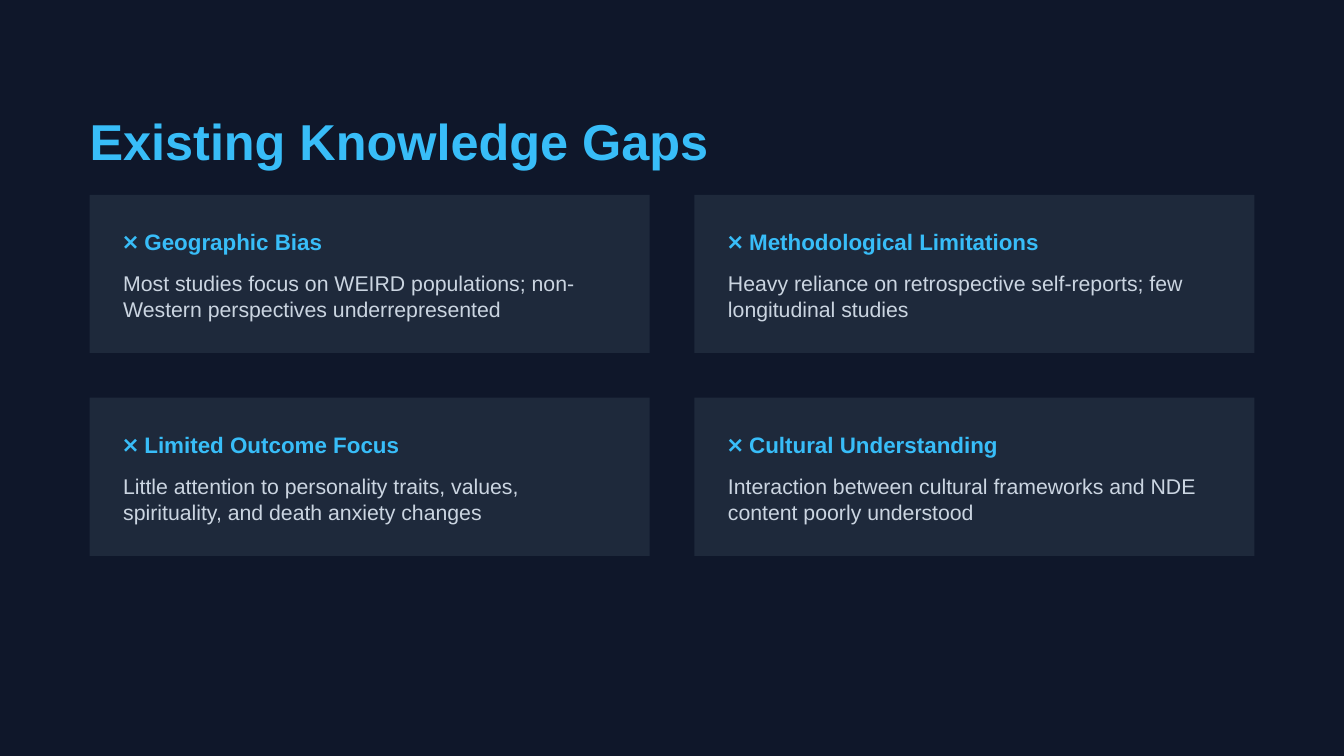
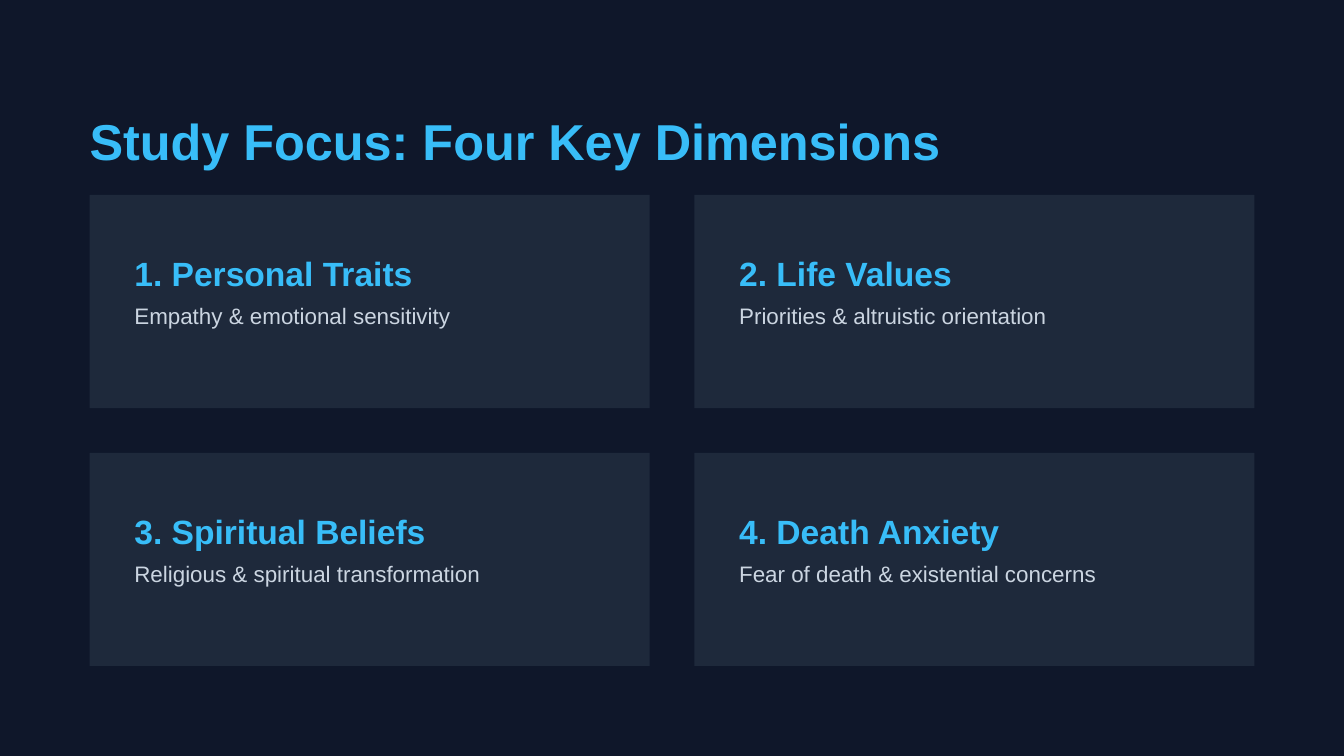
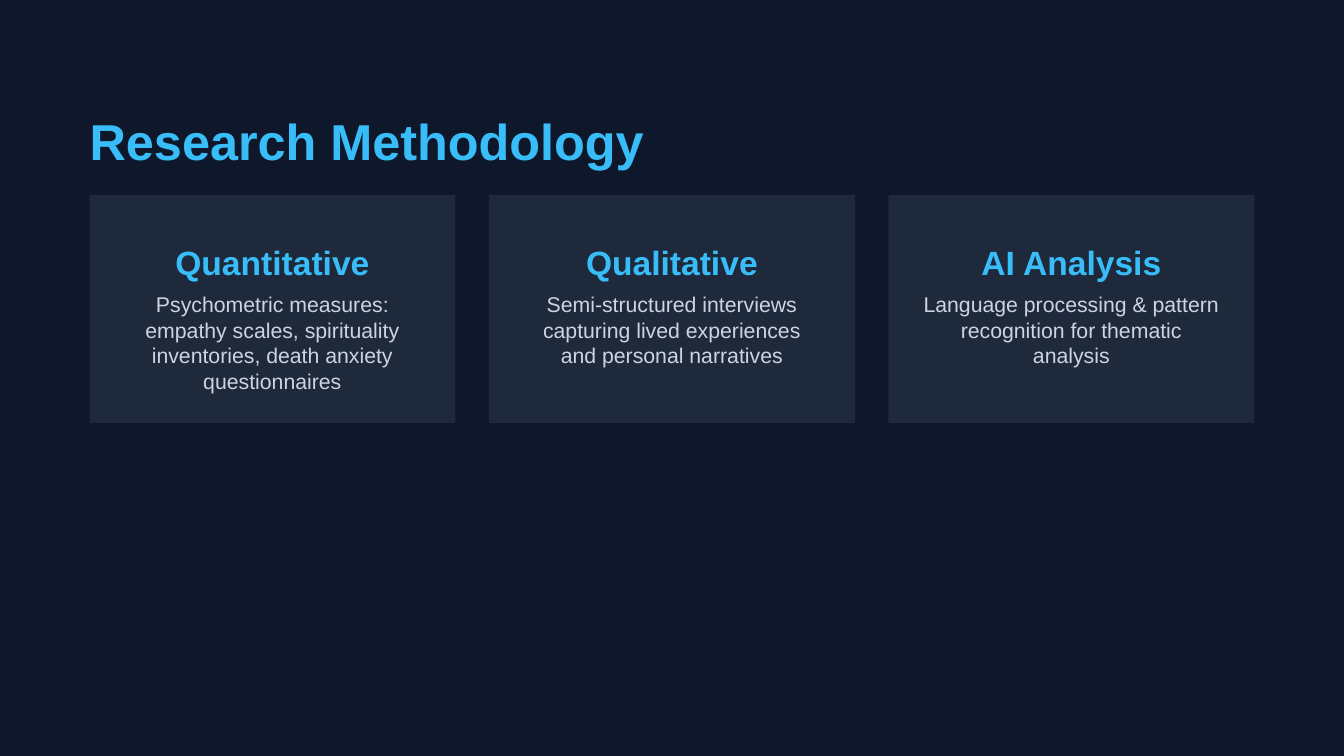
from dataclasses import dataclass

from pptx import Presentation
from pptx.dml.color import RGBColor
from pptx.enum.shapes import MSO_SHAPE
from pptx.enum.text import PP_ALIGN
from pptx.slide import Slide
from pptx.util import Pt

RECT = MSO_SHAPE.RECTANGLE
LEFT = PP_ALIGN.LEFT
MID = PP_ALIGN.CENTER


@dataclass(frozen=True)
class Style:
    size: float
    line: float
    color: RGBColor
    bold: bool = False


@dataclass(frozen=True)
class Theme:
    font: str = "Arial"
    back: RGBColor = RGBColor.from_string("0F172A")
    panel: RGBColor = RGBColor.from_string("1E293B")
    accent: RGBColor = RGBColor.from_string("38BDF8")
    soft: RGBColor = RGBColor.from_string("CBD5E1")

    @property
    def title(self) -> Style:
        return Style(27, 43.2, self.accent, True)

    @property
    def large(self) -> Style:
        return Style(18, 28.8, self.accent, True)

    @property
    def small(self) -> Style:
        return Style(12, 14.4, self.accent, True)

    @property
    def note(self) -> Style:
        return Style(12, 14.4, self.soft)

    @property
    def body(self) -> Style:
        return Style(11.4, 13.7, self.soft)


@dataclass(frozen=True)
class Box:
    left: float
    top: float
    width: float
    height: float


@dataclass(frozen=True)
class Card:
    head: str
    body: str
    lines: int


@dataclass(frozen=True)
class Grid:
    cols: int
    gap: float
    height: float
    head: Box
    body: Box
    top: Style
    text: Style
    align: PP_ALIGN = LEFT


@dataclass(frozen=True)
class Page:
    title: str
    grid: Grid
    cards: tuple[Card, ...]


THEME = Theme()
WIDTH, HEIGHT = 720, 405
EDGE = 48
START = 104.4
ROW = 13.2

GAPS = Grid(2, 24, 84.7, Box(18, 18, 264, 16.8), Box(18, 40.4, 264, ROW),
            THEME.small, THEME.body)
FOCUS = Grid(2, 24, 114.2, Box(24, 24, 257, 21.6), Box(24, 57.6, 257, ROW),
             THEME.large, THEME.note)
METHOD = Grid(3, 18, 122.2, Box(16, 18, 164, 21.6), Box(18, 51.8, 160, ROW),
              THEME.large, THEME.body, MID)

PAGES = (
    Page("Existing Knowledge Gaps", GAPS, (
        Card("❌ Geographic Bias",
             "Most studies focus on WEIRD populations; non-Western "
             "perspectives underrepresented", 2),
        Card("❌ Methodological Limitations",
             "Heavy reliance on retrospective self-reports; few "
             "longitudinal studies", 2),
        Card("❌ Limited Outcome Focus",
             "Little attention to personality traits, values, "
             "spirituality, and death anxiety changes", 2),
        Card("❌ Cultural Understanding",
             "Interaction between cultural frameworks and NDE content "
             "poorly understood", 2),
    )),
    Page("Study Focus: Four Key Dimensions", FOCUS, (
        Card("1. Personal Traits", "Empathy & emotional sensitivity", 1),
        Card("2. Life Values", "Priorities & altruistic orientation", 1),
        Card("3. Spiritual Beliefs", "Religious & spiritual transformation", 1),
        Card("4. Death Anxiety", "Fear of death & existential concerns", 1),
    )),
    Page("Research Methodology", METHOD, (
        Card("Quantitative",
             "Psychometric measures: empathy scales, spirituality "
             "inventories, death anxiety questionnaires", 4),
        Card("Qualitative",
             "Semi-structured interviews capturing lived experiences and "
             "personal narratives", 3),
        Card("AI Analysis",
             "Language processing & pattern recognition for thematic "
             "analysis", 3),
    )),
)


def place(box: Box) -> tuple[Pt, Pt, Pt, Pt]:
    return Pt(box.left), Pt(box.top), Pt(box.width), Pt(box.height)


def write(slide: Slide, box: Box, text: str, style: Style,
          align: PP_ALIGN = LEFT) -> None:
    frame = slide.shapes.add_textbox(*place(box)).text_frame
    frame.word_wrap = True
    frame.margin_left = frame.margin_right = 0
    frame.margin_top = frame.margin_bottom = 0
    para = frame.paragraphs[0]
    para.alignment = align
    para.line_spacing = Pt(style.line)
    run = para.add_run()
    run.text = text
    run.font.name = THEME.font
    run.font.size = Pt(style.size)
    run.font.bold = style.bold
    run.font.color.rgb = style.color


def panel(slide: Slide, box: Box) -> None:
    shape = slide.shapes.add_shape(RECT, *place(box))
    shape.shadow.inherit = False
    shape.fill.solid()
    shape.fill.fore_color.rgb = THEME.panel
    shape.line.fill.background()


def cells(grid: Grid, count: int) -> list[Box]:
    width = (WIDTH - 2 * EDGE - (grid.cols - 1) * grid.gap) / grid.cols
    return [
        Box(EDGE + num % grid.cols * (width + grid.gap),
            START + num // grid.cols * (grid.height + grid.gap),
            width, grid.height)
        for num in range(count)
    ]


def inner(cell: Box, part: Box, lines: int = 1) -> Box:
    return Box(cell.left + part.left, cell.top + part.top,
               part.width, part.height * lines)


def draw(slide: Slide, page: Page) -> None:
    slide.background.fill.solid()
    slide.background.fill.fore_color.rgb = THEME.back
    grid = page.grid
    spots = cells(grid, len(page.cards))
    for cell in spots:
        panel(slide, cell)
    write(slide, Box(EDGE, EDGE, 636, 32.4), page.title, THEME.title)
    for cell, card in zip(spots, page.cards):
        write(slide, inner(cell, grid.head), card.head, grid.top, grid.align)
        write(slide, inner(cell, grid.body, card.lines), card.body,
              grid.text, grid.align)


def main() -> None:
    deck = Presentation()
    deck.slide_width, deck.slide_height = Pt(WIDTH), Pt(HEIGHT)
    blank = deck.slide_layouts[6]
    for page in PAGES:
        draw(deck.slides.add_slide(blank), page)
    deck.save("out.pptx")


if __name__ == "__main__":
    main()
